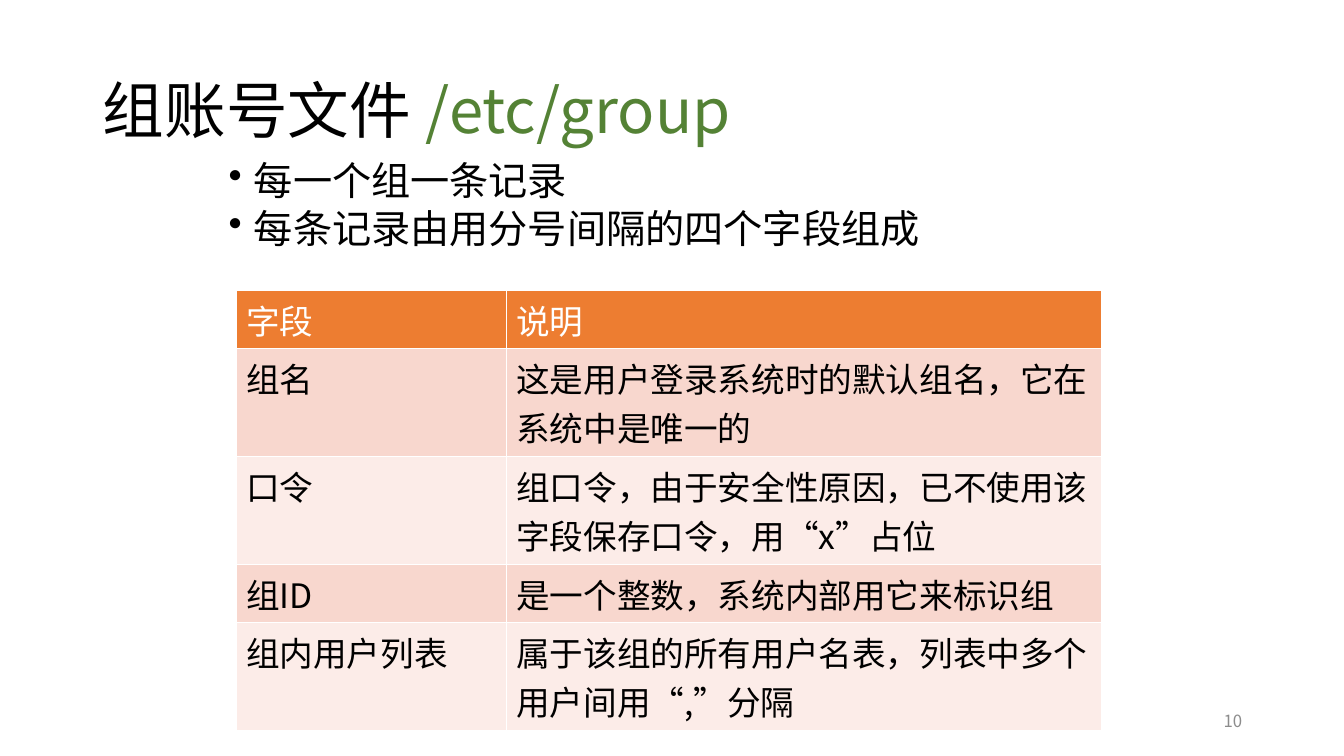
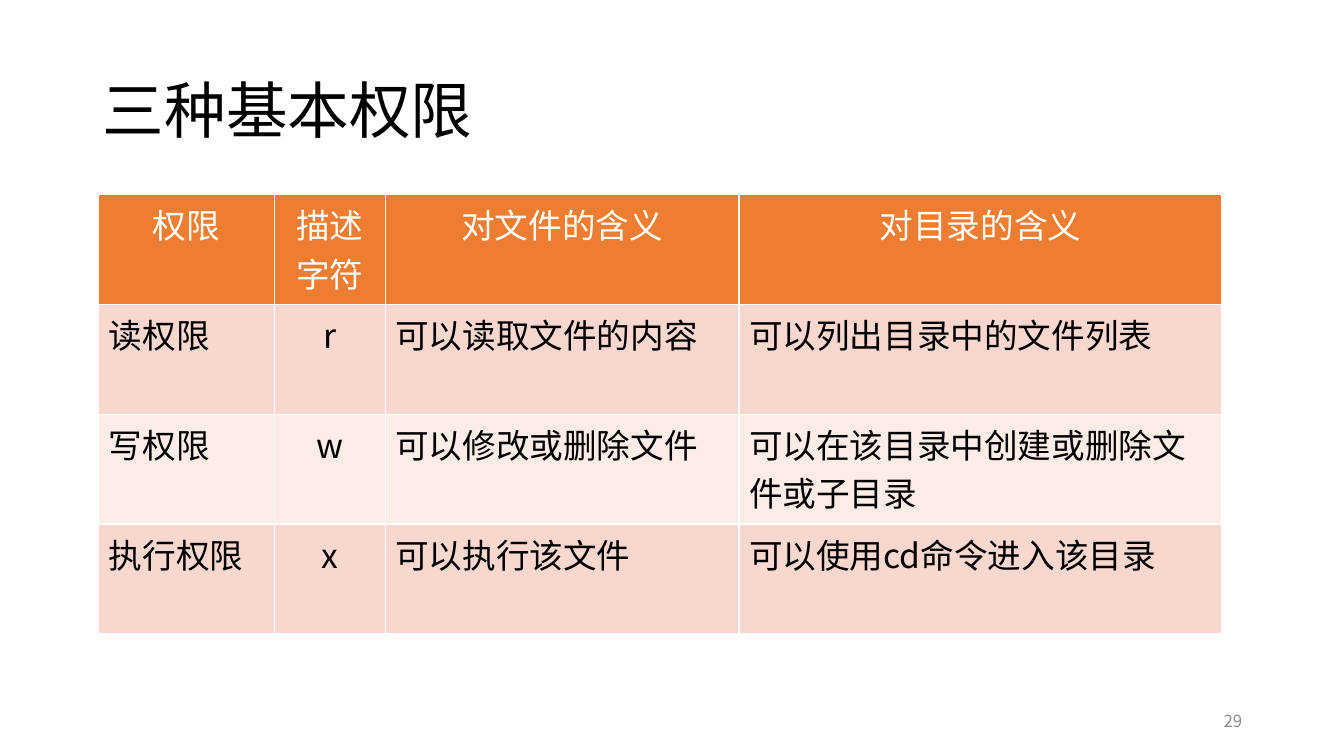
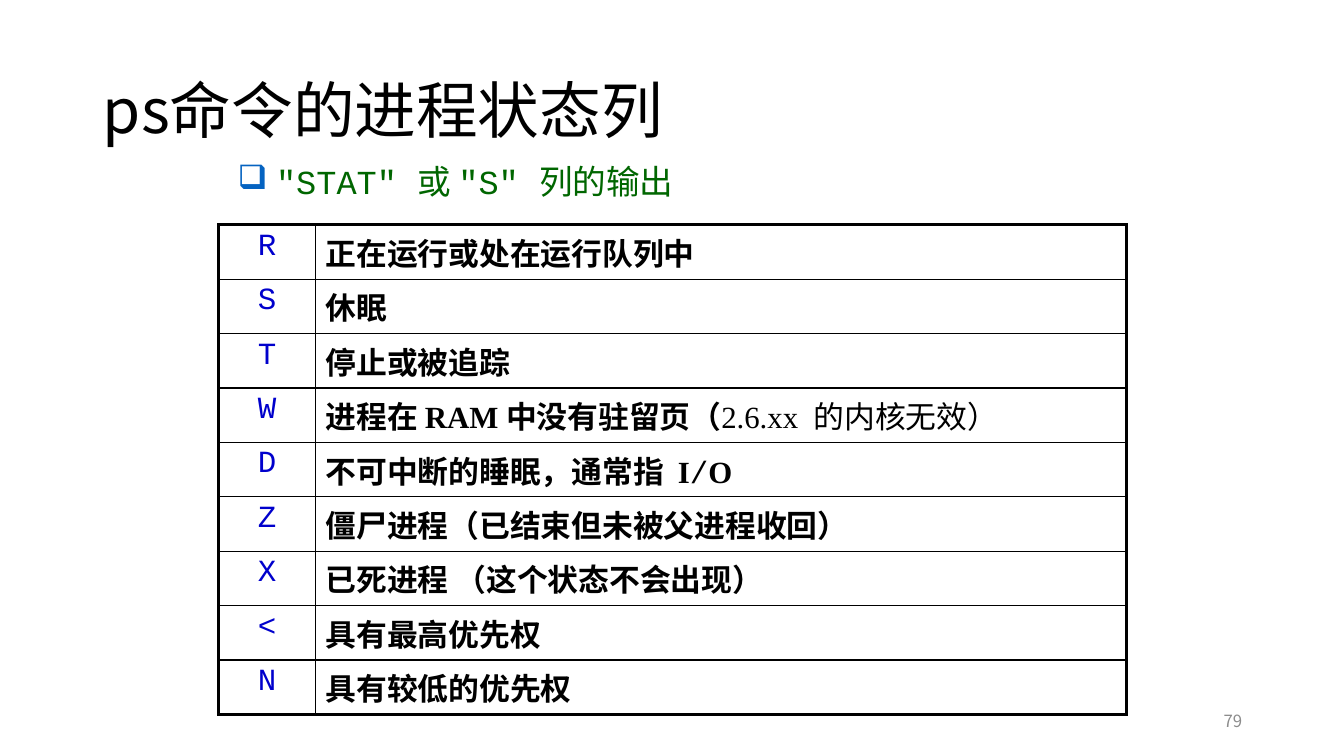
"""Build three slides about group files, permissions and process states."""
from dataclasses import dataclass, replace

from lxml.etree import SubElement as Sub
from pptx import Presentation
from pptx.dml.color import RGBColor
from pptx.enum.text import MSO_ANCHOR as Anchor, MSO_AUTO_SIZE as AutoSize, PP_ALIGN as Align
from pptx.oxml.ns import qn
from pptx.util import Emu, Pt

PX = 9144
TITLE_ONLY = 5
BLACK = RGBColor(0x00, 0x00, 0x00)
WHITE = RGBColor(0xFF, 0xFF, 0xFF)
GRAY = RGBColor(0x8C, 0x8C, 0x8C)
ORANGE = RGBColor(0xED, 0x7D, 0x31)
BANDS = (RGBColor(0xF8, 0xD7, 0xCE), RGBColor(0xFC, 0xEC, 0xE8))
PATH_GREEN = RGBColor(0x54, 0x82, 0x35)
NOTE_GREEN = RGBColor(0x00, 0x66, 0x00)
BULLET_BLUE = RGBColor(0x05, 0x63, 0xC1)
CODE_BLUE = RGBColor(0x00, 0x00, 0xCC)
SANS, MONO, SERIF = "Noto Sans CJK SC", "Courier New", "Times New Roman"


@dataclass(frozen=True)
class Style:
    size: int
    color: RGBColor = BLACK
    font: str = SANS
    bold: bool = False


TITLE = Style(44)
BODY = Style(28)
NUMBER = Style(12, GRAY)
CELL = Style(24)
HEAD = replace(CELL, color=WHITE)
NOTE = Style(24, NOTE_GREEN, MONO)
CODE = Style(22, CODE_BLUE, MONO)
STRONG = Style(22, BLACK, SERIF, True)
PLAIN = replace(STRONG, bold=False)
SLASH = replace(PLAIN, font=MONO)


def px(length):
    return Emu(length * PX)


def add_runs(para, runs, align=Align.LEFT):
    para.alignment = align
    for text, style in runs:
        span = para.add_run()
        span.text = text
        span.font.name = style.font
        span.font.size = Pt(style.size)
        span.font.bold = style.bold
        span.font.color.rgb = style.color
        span.font._element.find(qn("a:latin")).addnext(
            span.font._element.makeelement(qn("a:ea"), {"typeface": SANS}))


def add_box(page, left, top, width, height, anchor=Anchor.TOP):
    box = page.shapes.add_textbox(px(left), px(top), px(width), px(height))
    box.text_frame.word_wrap = True
    box.text_frame.vertical_anchor = anchor
    return box.text_frame


def set_bullet(para, char, indent, color):
    props = para._p.get_or_add_pPr()
    props.set("marL", str(px(indent)))
    props.set("indent", str(-px(indent)))
    Sub(Sub(props, qn("a:buClr")), qn("a:srgbClr"), val=str(color))
    Sub(props, qn("a:buChar"), char=char)


def add_page(deck, number, *title_runs):
    page = deck.slides.add_slide(deck.slide_layouts[TITLE_ONLY])
    title = page.shapes.title
    title.left, title.top, title.width, title.height = map(px, (92, 40, 1150, 145))
    frame = title.text_frame
    frame.auto_size = AutoSize.NONE
    frame.vertical_anchor = Anchor.MIDDLE
    frame.paragraphs[0].line_spacing = 0.9
    add_runs(frame.paragraphs[0], title_runs)
    footer = add_box(page, 942, 695, 300, 40, Anchor.MIDDLE)
    add_runs(footer.paragraphs[0], [(str(number), NUMBER)], Align.RIGHT)
    return page


def set_borders(cell, color, widths):
    props = cell._tc.get_or_add_tcPr()
    for side, width in zip("LRTB", widths):
        line = Sub(props, qn(f"a:ln{side}"), w=str(Pt(width)))
        Sub(Sub(line, qn("a:solidFill")), qn("a:srgbClr"), val=str(color))


def add_grid(page, left, top, columns, heights):
    frame = page.shapes.add_table(len(heights), len(columns), px(left), px(top),
                                  px(sum(columns)), px(sum(heights)))
    table = frame.table
    table.first_row = table.horz_banding = False
    for column, width in zip(table.columns, columns):
        column.width = px(width)
    for row, height in zip(table.rows, heights):
        row.height = px(height)
    return table


def add_banded_table(page, left, top, columns, heights, rows, centred=()):
    table = add_grid(page, left, top, columns, heights)
    for r, texts in enumerate(rows):
        for c, text in enumerate(texts):
            cell = table.cell(r, c)
            middle = c in centred or (r == 0 and centred)
            add_runs(cell.text_frame.paragraphs[0], [(text, CELL if r else HEAD)],
                     Align.CENTER if middle else Align.LEFT)
            set_borders(cell, WHITE, (1, 1, 1, 1))
            cell.fill.solid()
            cell.fill.fore_color.rgb = BANDS[(r - 1) % 2] if r else ORANGE


def add_state_table(page, left, top, columns, row_height, states):
    table = add_grid(page, left, top, columns, [row_height] * len(states))
    last = len(states) - 1
    for r, (code, runs) in enumerate(states):
        for c, spans in enumerate(([(code, CODE)], runs)):
            cell = table.cell(r, c)
            add_runs(cell.text_frame.paragraphs[0], spans, Align.LEFT if c else Align.CENTER)
            outer = (c == 0, c == 1, r == 0, r == last)
            set_borders(cell, BLACK, [2.25 if edge else 1 for edge in outer])
            cell.fill.background()


def build_group_file(deck):
    page = add_page(deck, 10, ("组账号文件 ", TITLE),
                    ("/etc/group", replace(TITLE, color=PATH_GREEN)))
    frame = add_box(page, 217, 155, 900, 129)
    for i, text in enumerate(("每一个组一条记录", "每条记录由用分号间隔的四个字段组成")):
        para = frame.add_paragraph() if i else frame.paragraphs[0]
        para.line_spacing = 0.9
        para.space_before = Pt(4)
        set_bullet(para, "•", 25, BLACK)
        add_runs(para, [(text, BODY)])
    add_banded_table(page, 234, 288, (268, 591), (58, 107, 107, 58, 107), (
        ("字段", "说明"),
        ("组名", "这是用户登录系统时的默认组名，它在系统中是唯一的"),
        ("口令", "组口令，由于安全性原因，已不使用该字段保存口令，用“x”占位"),
        ("组ID", "是一个整数，系统内部用它来标识组"),
        ("组内用户列表", "属于该组的所有用户名表，列表中多个用户间用“,”分隔"),
    ))


def build_permissions(deck):
    page = add_page(deck, 29, ("三种基本权限", TITLE))
    add_banded_table(page, 98, 193, (174, 110, 351, 479), [109] * 4, (
        ("权限", "描述字符", "对文件的含义", "对目录的含义"),
        ("读权限", "r", "可以读取文件的内容", "可以列出目录中的文件列表"),
        ("写权限", "w", "可以修改或删除文件", "可以在该目录中创建或删除文件或子目录"),
        ("执行权限", "x", "可以执行该文件", "可以使用cd命令进入该目录"),
    ), centred=(1,))


def build_process_states(deck):
    page = add_page(deck, 79, ("ps命令的进程状态列", TITLE))
    para = add_box(page, 226, 147, 867, 59).paragraphs[0]
    para.line_spacing = 1.2
    set_bullet(para, "❑", 38, BULLET_BLUE)
    add_runs(para, [('"STAT" 或 "S" 列的输出', NOTE)])
    add_state_table(page, 217, 223, (96, 804), 54, (
        ("R", [("正在运行或处在运行队列中", STRONG)]),
        ("S", [("休眠", STRONG)]),
        ("T", [("停止或被追踪", STRONG)]),
        ("W", [("进程在 RAM 中没有驻留页（", STRONG), ("2.6.xx  的内核无效）", PLAIN)]),
        ("D", [("不可中断的睡眠，通常指  I", STRONG), ("/", SLASH), ("O", STRONG)]),
        ("Z", [("僵尸进程（已结束但未被父进程收回）", STRONG)]),
        ("X", [("已死进程 （这个状态不会出现）", STRONG)]),
        ("<", [("具有最高优先权", STRONG)]),
        ("N", [("具有较低的优先权", STRONG)]),
    ))


def main():
    deck = Presentation()
    deck.slide_width, deck.slide_height = px(1333), px(750)
    build_group_file(deck)
    build_permissions(deck)
    build_process_states(deck)
    deck.save("out.pptx")


if __name__ == "__main__":
    main()
